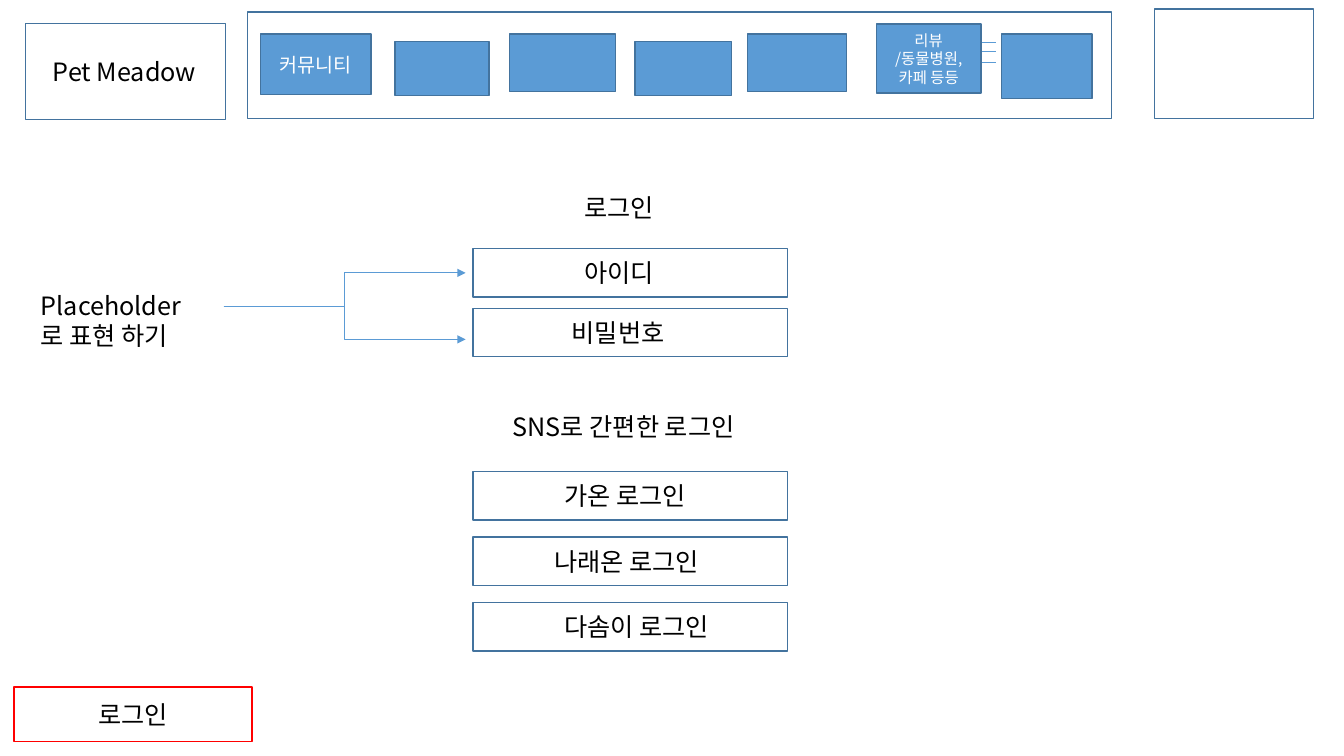
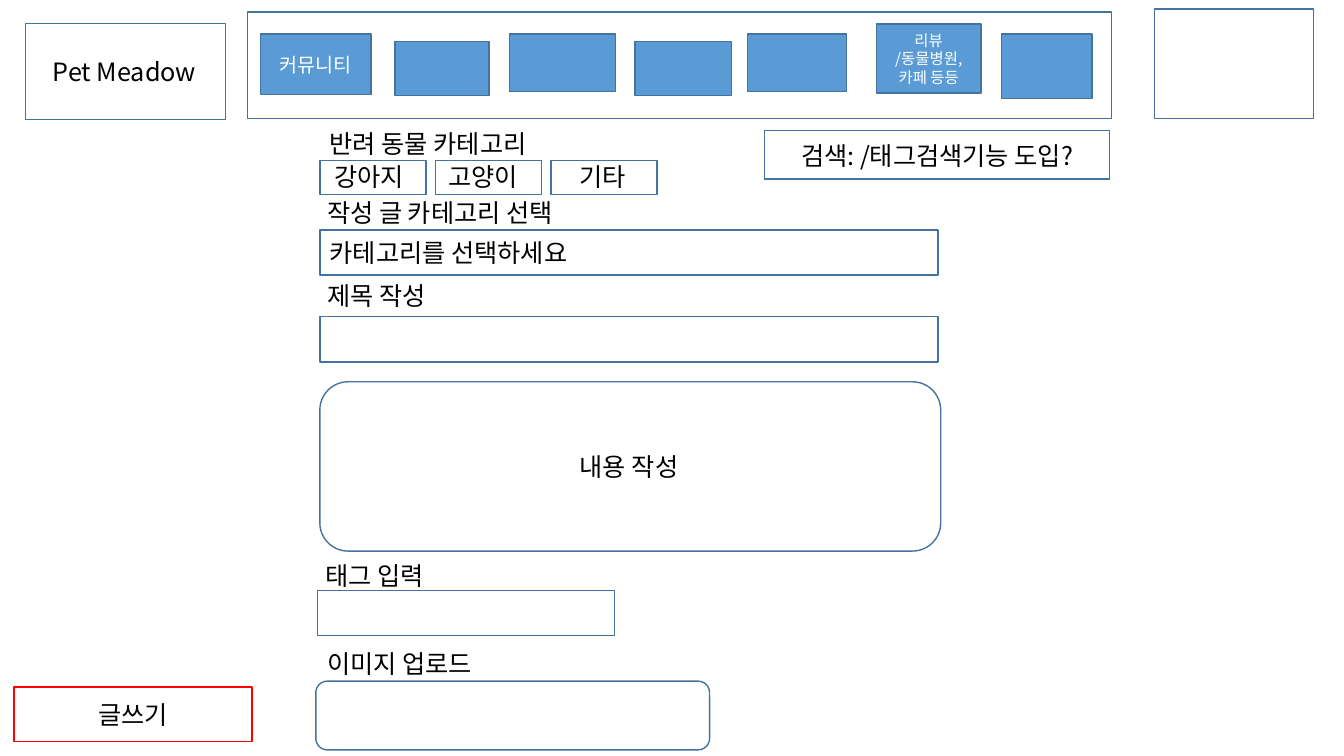
import pptx
import pptx.util
import pptx.dml.color
import pptx.enum.shapes
import pptx.enum.text
import pptx.oxml.ns
import lxml.etree

COLORS = {"outline": "43739E", "accent": "5B9BD5", "marker": "FF0000",
          "text": "000000", "white": "FFFFFF"}
FONT = "Noto Sans CJK KR"
SHAPES = pptx.enum.shapes.MSO_SHAPE
LINES = pptx.enum.shapes.MSO_CONNECTOR
ALIGN = pptx.enum.text.PP_ALIGN
LABEL_H = 5.3
FIELD_H = 6.4


def rgb(name):
    """Return the named colour."""
    return pptx.dml.color.RGBColor.from_string(COLORS[name])


def sub(parent, tag, **attrs):
    """Append a drawing element to parent."""
    return lxml.etree.SubElement(parent, pptx.oxml.ns.qn(tag), **attrs)


class Wireframe:
    """Style and current slide; lengths are percent of the slide's size."""

    def __init__(self):
        """Start a widescreen presentation."""
        self.prs = pptx.Presentation()
        self.prs.slide_width = pptx.util.Inches(13.33)
        self.prs.slide_height = pptx.util.Inches(7.5)
        self.s = None

    def new_slide(self):
        """Add a blank slide."""
        self.s = self.prs.slides.add_slide(self.prs.slide_layouts[6])

    def x(self, share):
        """Convert a share of the width."""
        return int(self.prs.slide_width * share / 100)

    def y(self, share):
        """Convert a share of the height."""
        return int(self.prs.slide_height * share / 100)

    def frame(self, x, y, w, h):
        """Convert a rectangle."""
        return self.x(x), self.y(y), self.x(w), self.y(h)

    def set_text(self, tf, text, size=18, color="text", align=ALIGN.LEFT):
        """Fill a text frame and format its runs."""
        tf.word_wrap = True
        tf.text = text
        for p in tf.paragraphs:
            p.alignment = align
            for r in p.runs:
                r.font.size = pptx.util.Pt(size)
                r.font.color.rgb = rgb(color)
                r.font.name = FONT
                sub(r.font._element, "a:ea", typeface=FONT)

    def label(self, text, x, y, w, h=LABEL_H):
        """Add a plain text box."""
        sp = self.s.shapes.add_textbox(*self.frame(x, y, w, h))
        self.set_text(sp.text_frame, text)

    def box(self, x, y, w, h, text="", fill=None, line="outline",
            kind=SHAPES.RECTANGLE, **style):
        """Add an outlined box, with text if given."""
        sp = self.s.shapes.add_shape(kind, *self.frame(x, y, w, h))
        sp.shadow.inherit = False
        if fill:
            sp.fill.solid()
            sp.fill.fore_color.rgb = rgb(fill)
        else:
            sp.fill.background()
        sp.line.color.rgb = rgb(line)
        sp.line.width = pptx.util.Pt(1)
        if text:
            style.setdefault("align", ALIGN.CENTER)
            self.set_text(sp.text_frame, text, **style)
        return sp

    def line(self, x1, y1, x2, y2, kind=LINES.STRAIGHT, arrow=False):
        """Add a thin connector."""
        cx = self.s.shapes.add_connector(
            kind, self.x(x1), self.y(y1), self.x(x2), self.y(y2))
        cx.line.color.rgb = rgb("accent")
        cx.line.width = pptx.util.Pt(0.5)
        if arrow:
            ln = cx._element.spPr.find(pptx.oxml.ns.qn("a:ln"))
            sub(ln, "a:tailEnd", type="triangle")
        sub(cx._element.spPr, "a:effectLst")

    def header(self):
        """Add the name box, menu bar and profile box."""
        name = self.box(1.9, 3.1, 14.9, 12.7, "Pet Meadow", align=ALIGN.LEFT)
        name.text_frame.margin_left = pptx.util.Inches(0.27)
        self.box(18.4, 1.6, 64.3, 14.1)
        self.box(85.9, 1.2, 11.85, 14.5)
        menu = [(19.4, 4.5, 8.2, 8, "커뮤니티", 14),
                (29.4, 5.5, 7, 7.1, "", 14),
                (37.9, 4.5, 7.9, 7.6, "", 14),
                (47.25, 5.5, 7.2, 7.1, "", 14),
                (55.6, 4.5, 7.4, 7.6, "", 14),
                (65.2, 3.2, 7.8, 9.1, "리뷰\n/동물병원, 카페 등등", 11),
                (74.5, 4.5, 6.75, 8.5, "", 14)]
        for x, y, w, h, text, size in menu:
            self.box(x, y, w, h, text, fill="accent", size=size, color="white")

    def page_name(self, text):
        """Add the red page marker at the lower left."""
        self.box(1.05, 90.9, 17.7, 7.2, text, line="marker")


def login_slide(wf):
    """Build the login page."""
    wf.new_slide()
    wf.label("로그인", 42.75, 24.8, 7.2)
    wf.label("SNS로 간편한 로그인", 37.4, 53.7, 20.55)
    sns_top, sns_step = 62.4, 8.65
    fields = [(32.9, "아이디", 42.75, 7.2),
              (40.8, "비밀번호", 41.8, 9.1),
              (sns_top, "가온 로그인", 41.25, 12.9),
              (sns_top + sns_step, "나래온 로그인", 40.5, 14.4),
              (sns_top + 2 * sns_step, "다솜이 로그인", 41.25, 14.4)]
    for y, text, text_x, text_w in fields:
        wf.box(35.2, y, 23.4, FIELD_H)
        wf.label(text, text_x, y + 0.5, text_w)
    for y in (36.1, 44.9):
        wf.line(16.65, 40.5, 34.65, y, LINES.ELBOW, arrow=True)
    wf.label("Placeholder로 표현 하기", 2.3, 37.7, 13.35, 9.5)
    for y in (5.6, 6.8, 8.3):
        wf.line(72.5, y, 74.1, y)
    wf.header()
    wf.page_name("로그인")


def writing_slide(wf):
    """Build the post writing page."""
    wf.new_slide()
    left, wide = 23.8, 46
    pets = [("강아지", 24.15, 7.2), ("고양이", 32.6, 7.2), ("기타", 42.4, 5.55)]
    for i, (pet, text_x, text_w) in enumerate(pets):
        wf.box(left + 8.6 * i, 21.2, 7.9, 4.5)
        wf.label(pet, text_x, 20.7, text_w)
    for y in (30.4, 41.9):
        wf.box(left, y, wide, 6)
    wf.box(left, 50.5, 46.2, 22.4, fill="white", kind=SHAPES.ROUNDED_RECTANGLE)
    wf.box(23.6, 78.1, 22.1, 6)
    wf.box(23.5, 90.1, 29.3, 9.1, fill="white", kind=SHAPES.ROUNDED_RECTANGLE)
    for text, x, y, w in [("반려 동물 카테고리", left, 16.3, 19.6),
                          ("작성 글 카테고리 선택", 23.6, 25.5, 24.2),
                          ("카테고리를 선택하세요", left, 30.7, 28.1),
                          ("제목 작성", 23.6, 36.4, 24.2),
                          ("내용 작성", 42.4, 59.1, 10.7),
                          ("태그 입력", 23.5, 73.5, 24.2),
                          ("이미지 업로드", 23.6, 85.1, 13.7)]:
        wf.label(text, x, y, w)
    wf.box(56.9, 17.3, 25.65, FIELD_H, "검색: /태그검색기능 도입?")
    wf.header()
    wf.page_name("글쓰기")


def main():
    """Build and save both slides."""
    wf = Wireframe()
    login_slide(wf)
    writing_slide(wf)
    wf.prs.save("out.pptx")


main()
